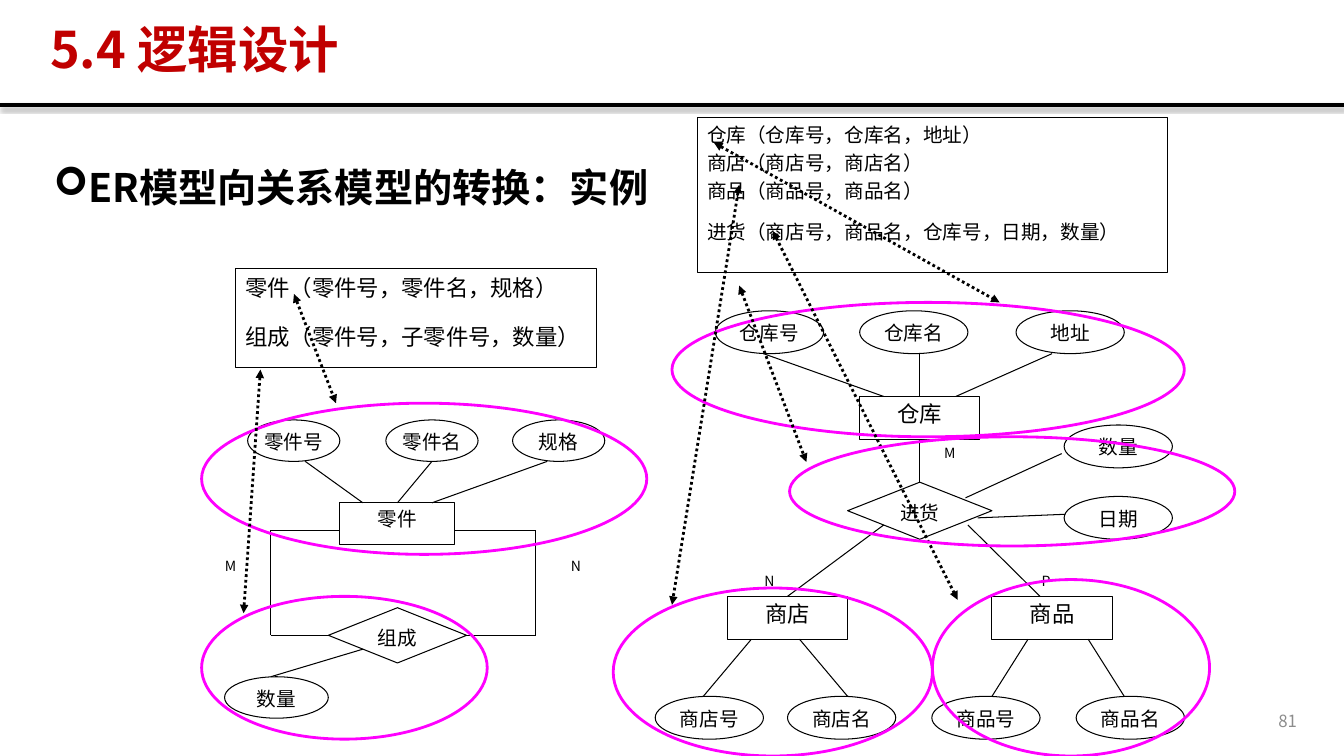
from dataclasses import dataclass

from lxml.etree import SubElement
from pptx import Presentation
from pptx.dml.color import RGBColor
from pptx.enum.dml import MSO_LINE
from pptx.enum.shapes import MSO_CONNECTOR, MSO_SHAPE
from pptx.enum.text import MSO_ANCHOR, PP_ALIGN
from pptx.oxml.ns import qn
from pptx.util import Inches, Pt


@dataclass(frozen=True)
class Theme:
    font: str = "Noto Sans CJK SC"
    ink: str = "000000"
    paper: str = "FFFFFF"
    title: str = "C00000"
    mark: str = "FF00FF"
    muted: str = "8C8C8C"
    title_size: int = 36
    heading_size: int = 28
    large_size: int = 16
    node_size: int = 14
    number_size: int = 12
    label_size: int = 10
    thin: float = 0.75
    medium: float = 2
    thick: float = 3


THEME = Theme()
TOP, LEFT, BOTTOM, RIGHT = range(4)
RECT, OVAL, DIAMOND = MSO_SHAPE.RECTANGLE, MSO_SHAPE.OVAL, MSO_SHAPE.DIAMOND


@dataclass(frozen=True)
class Grid:
    """A box in inches, divided into columns and rows."""
    left: float
    top: float
    width: float
    height: float
    columns: float
    rows: float

    def point(self, column, row):
        return (Inches(self.left + column * self.width / self.columns),
                Inches(self.top + row * self.height / self.rows))

    def box(self, column, row, width, height):
        return (*self.point(column, row), Inches(width * self.width / self.columns),
                Inches(height * self.height / self.rows))

    def subgrid(self, column, row, width, height, columns, rows):
        """A finer grid laid over some cells of this one."""
        return Grid(*(length.inches for length in self.box(column, row, width, height)),
                    columns, rows)


def style(paragraph, size, color=THEME.ink, bold=False, align=PP_ALIGN.LEFT):
    paragraph.alignment = align
    for run in paragraph.runs:
        run.font.size, run.font.bold, run.font.name = Pt(size), bold, THEME.font
        run.font.color.rgb = RGBColor.from_string(color)
        SubElement(run.font._element, qn("a:ea"), typeface=THEME.font)


def add_outline(slide, preset, box, color, width, fill=None):
    shape = slide.shapes.add_shape(preset, *box)
    shape.shadow.inherit = False
    shape.line.color.rgb = RGBColor.from_string(color)
    shape.line.width = Pt(width)
    if fill:
        shape.fill.solid()
        shape.fill.fore_color.rgb = RGBColor.from_string(fill)
    else:
        shape.fill.background()
    return shape


def add_text(slide, box, text, size, anchor=MSO_ANCHOR.TOP, **look):
    textbox = slide.shapes.add_textbox(*box)
    frame = textbox.text_frame
    frame.word_wrap, frame.vertical_anchor = True, anchor
    frame.text = text
    style(frame.paragraphs[0], size, **look)
    return textbox


def add_node(slide, grid, preset, cells, text, size=THEME.node_size):
    node = add_outline(slide, preset, grid.box(*cells), THEME.ink, THEME.thin, THEME.paper)
    frame = node.text_frame
    frame.margin_left = frame.margin_right = frame.margin_bottom = 0
    frame.margin_top = Inches(0.04)
    frame.vertical_anchor = MSO_ANCHOR.TOP
    frame.text = text
    style(frame.paragraphs[0], size, align=PP_ALIGN.CENTER)
    return node


def add_line(slide, grid, start, end, width=THEME.thin):
    line = slide.shapes.add_connector(
        MSO_CONNECTOR.STRAIGHT, *grid.point(*start), *grid.point(*end))
    line.line.color.rgb = RGBColor.from_string(THEME.ink)
    line.line.width = Pt(width)
    SubElement(line._element.spPr, qn("a:effectLst"))
    return line


def add_cardinality(slide, grid, cells, text, fill=None):
    label = add_text(slide, grid.box(*cells), text, THEME.label_size, align=PP_ALIGN.CENTER)
    if fill:
        label.fill.solid()
        label.fill.fore_color.rgb = RGBColor.from_string(fill)


def add_header(slide, grid):
    rule = add_line(slide, grid, (0, 12.5), (160, 12.5), THEME.thick)
    effects = rule._element.spPr.find(qn("a:effectLst"))
    shadow = SubElement(effects, qn("a:outerShdw"), blurRad=str(Pt(3.1)), dist=str(Pt(1.8)),
                        dir="5400000", algn="t", rotWithShape="0")
    shade = SubElement(shadow, qn("a:srgbClr"), val=THEME.ink)
    SubElement(shade, qn("a:alpha"), val="35000")
    title = add_text(slide, grid.box(4.8, 2.3, 140.4, 7.8), "5.4 逻辑设计", THEME.title_size,
                     MSO_ANCHOR.MIDDLE, color=THEME.title, bold=True, align=PP_ALIGN.JUSTIFY)
    title.text_frame.paragraphs[0].line_spacing = 0.9


def add_heading(slide, grid):
    heading = add_text(slide, grid.box(5.2, 16, 150.4, 65), "ER模型向关系模型的转换：实例",
                       THEME.heading_size, bold=True, align=PP_ALIGN.JUSTIFY)
    paragraph = heading.text_frame.paragraphs[0]
    paragraph.line_spacing = 1.5
    properties = paragraph._p.get_or_add_pPr()
    properties.set("marL", str(Inches(0.25)))
    properties.set("indent", str(-Inches(0.25)))
    SubElement(properties, qn("a:buFont"), typeface="Wingdings")
    SubElement(properties, qn("a:buChar"), char="➢")


def add_schema(slide, box, relations, size, gap, last_gap):
    """Relation schemas in a frame, the last one set further apart."""
    frame = add_outline(slide, RECT, box, THEME.ink, THEME.thin).text_frame
    frame.vertical_anchor = MSO_ANCHOR.TOP
    frame.text = "\n".join(relations)
    for paragraph in frame.paragraphs:
        style(paragraph, size)
    for paragraph in frame.paragraphs[1:]:
        paragraph.space_before = Pt(gap)
    frame.paragraphs[-1].space_before = Pt(last_gap)


def add_parts_diagram(slide, grid):
    add_node(slide, grid, RECT, (12, 6, 10, 3), "零件")
    for column, attribute in ((4, "零件号"), (16, "零件名"), (27, "规格")):
        add_node(slide, grid, OVAL, (column, 0, 8, 3), attribute)
    add_node(slide, grid, OVAL, (2, 18.6, 9, 3), "数量")
    composition = add_node(slide, grid, DIAMOND, (11, 13.6, 12, 4), "组成")
    add_line(slide, grid, (14, 16.6), (6, 18.6))
    for entity_edge, corner, tip, side in ((12, 6, 11, LEFT), (22, 29, 23, RIGHT)):
        add_line(slide, grid, (entity_edge, 8), (corner, 8))
        add_line(slide, grid, (corner, 8), (corner, 15.6))
        add_line(slide, grid, (corner, 15.6), (tip, 15.6)).end_connect(composition, side)
    for column, cardinality in ((0, "M"), (30, "N")):
        add_cardinality(slide, grid, (column, 9.6, 5, 3), cardinality, THEME.paper)
    for attribute_end, entity_end in ((9, 14), (20, 17), (30, 20)):
        add_line(slide, grid, (attribute_end, 3), (entity_end, 6))


def add_purchase_diagram(slide, grid):
    warehouse, _, shop = [
        add_node(slide, grid, RECT, (column, row, 10, 3), entity, THEME.large_size)
        for column, row, entity in ((17, 6, "仓库"), (28, 20, "商品"), (6, 20, "商店"))]
    for column, row, attribute in (
            (5, 0, "仓库号"), (17, 0, "仓库名"), (30, 0, "地址"), (34, 8, "数量"),
            (34, 13, "日期"), (0, 27, "商店号"), (11, 27, "商店名"),
            (23, 27, "商品号"), (35, 27, "商品名")):
        add_node(slide, grid, OVAL, (column, row, 9, 3), attribute)
    purchase = add_node(slide, grid, DIAMOND, (16, 12, 12, 4), "进货")
    add_line(slide, grid, (22, 3), (22, 6)).end_connect(warehouse, TOP)
    supply = add_line(slide, grid, (22, 9), (22, 12))
    supply.begin_connect(warehouse, BOTTOM)
    supply.end_connect(purchase, TOP)
    add_line(slide, grid, (19, 15), (11, 20)).end_connect(shop, TOP)
    for start, end in (
            ((9, 3), (19, 6)), ((33, 3), (25, 6)), ((26, 15), (32, 20)),
            ((25.8, 13.1), (33.8, 10)), ((26.8, 14.5), (34.1, 14.25)),
            ((8, 23), (4, 27)), ((12, 23), (16, 27)),
            ((31, 23), (28, 27)), ((36, 23), (39, 27))):
        add_line(slide, grid, start, end)
    for column, row, cardinality in ((22, 9, "M"), (7, 18, "N"), (30, 18, "P")):
        add_cardinality(slide, grid, (column, row, 5, 3), cardinality)


def add_mapping(slide, grid, circled, start, end):
    """Circle a region of a diagram and tie it to its relation schema."""
    add_outline(slide, OVAL, grid.box(*circled), THEME.mark, THEME.medium)
    arrow = add_line(slide, grid, start, end, THEME.medium)
    arrow.line.dash_style = MSO_LINE.ROUND_DOT
    outline = arrow._element.spPr.find(qn("a:ln"))
    for tip in ("a:headEnd", "a:tailEnd"):
        SubElement(outline, qn(tip), type="triangle")


def main():
    deck = Presentation()
    deck.slide_width, deck.slide_height = Inches(13.33), Inches(7.5)
    slide = deck.slides.add_slide(deck.slide_layouts[6])
    page = Grid(0, 0, 13.33, 7.5, 160, 90)
    add_header(slide, page)
    add_heading(slide, page)
    add_text(slide, page.box(119.6, 83.4, 36, 4.8), "81", THEME.number_size,
             MSO_ANCHOR.MIDDLE, color=THEME.muted, align=PP_ALIGN.RIGHT)
    add_parts_diagram(slide, page.subgrid(24, 50, 48, 35.5, 35, 21.6))
    add_purchase_diagram(slide, page.subgrid(78, 37, 63, 51, 44, 30))
    add_schema(slide, page.box(28, 32, 43, 11.8),
               ("零件（零件号，零件名，规格）", "组成（零件号，子零件号，数量）"),
               THEME.large_size, 16, 16)
    add_schema(slide, page.box(83, 14, 56, 18.5),
               ("仓库（仓库号，仓库名，地址）", "商店（商店号，商店名）", "商品（商品号，商品名）",
                "进货（商店号，商品名，仓库号，日期，数量）"), THEME.node_size, 3.4, 12)
    for circled, start, end in (
            ((24, 48, 53, 18), (35, 35), (40, 48)),
            ((24, 71, 34, 17), (31, 44), (29, 73)),
            ((80, 36, 61, 16), (85, 17), (119, 36)),
            ((73, 70, 38, 20), (88, 22), (80, 72)),
            ((111, 69, 33, 21), (92, 27.5), (114, 71.4)),
            ((94, 52, 53, 13), (88, 34), (96, 55))):
        add_mapping(slide, page, circled, start, end)
    deck.save("out.pptx")


if __name__ == "__main__":
    main()
